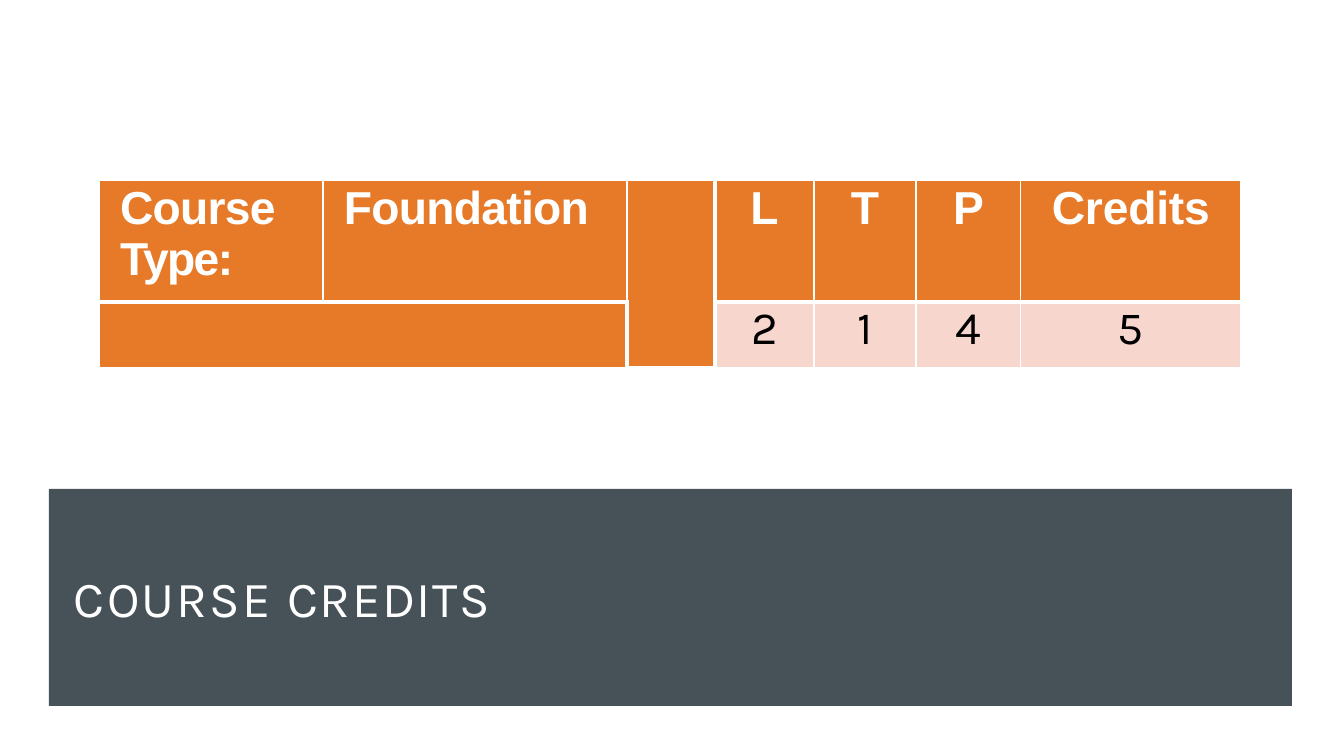
import lxml.etree
import pptx
import pptx.dml.color
import pptx.enum.shapes
import pptx.enum.text
import pptx.oxml.ns
import pptx.util

RGBColor = pptx.dml.color.RGBColor
ORANGE = RGBColor(0xE7, 0x7A, 0x29)
PINK = RGBColor(0xF6, 0xD6, 0xCD)
SLATE = RGBColor(0x46, 0x52, 0x58)
WHITE = RGBColor(0xFF, 0xFF, 0xFF)
BLACK = RGBColor(0x00, 0x00, 0x00)
LEFT = pptx.enum.text.PP_ALIGN.LEFT
CENTER = pptx.enum.text.PP_ALIGN.CENTER

# Content: each paragraph is a list of (text, letter spacing in points)
TITLE = [("COURSE ", 1.6), ("CREDITS", 1.1)]
HEADER = {
    0: [[("Course", -0.5)], [("Type:", -1.2)]],
    1: [[("Foundation", -0.5)]],
    3: [[("L", 0)]],
    4: [[("T", 0)]],
    5: [[("P", 0)]],
    6: [[("Credits", -0.1)]],
}
VALUES = {3: "2", 4: "1", 5: "4", 6: "5"}

# Layout in px
SLIDE_SIZE = (1344, 756)
BAND = (49, 489, 1243, 217)
TABLE_LEFT, TABLE_TOP = 99, 180
COLUMN_WIDTHS = [224, 304, 88, 99, 102, 105, 220]
ROW_HEIGHTS = [122, 66]
GAP_COLUMN = 2
BAND_INDENT = 25
CELL_INDENT = 21
THIN, THICK = 1, 3


def px(length):
    return pptx.util.Emu(round(length * 914400 / 100.8))


def write_text(paragraph, runs, size, font="Arial", color=WHITE, bold=False,
               align=LEFT, line_spacing=None):
    paragraph.alignment = align
    if line_spacing:
        paragraph.line_spacing = pptx.util.Pt(line_spacing)
    for text, spacing in runs:
        run = paragraph.add_run()
        run.text = text
        run.font.size = pptx.util.Pt(size)
        run.font.name = font
        run.font.bold = bold
        run.font.color.rgb = color
        run.font._element.set("spc", str(round(spacing * 100)))


def set_borders(cell, widths):
    properties = cell._tc.get_or_add_tcPr()
    for side, width in widths.items():
        line = lxml.etree.SubElement(properties, pptx.oxml.ns.qn(f"a:ln{side}"),
                                     w=str(pptx.util.Pt(width)))
        fill = lxml.etree.SubElement(line, pptx.oxml.ns.qn("a:solidFill"))
        lxml.etree.SubElement(fill, pptx.oxml.ns.qn("a:srgbClr"), val=str(WHITE))


presentation = pptx.Presentation()
presentation.slide_width, presentation.slide_height = map(px, SLIDE_SIZE)
slide = presentation.slides.add_slide(presentation.slide_layouts[6])

# Title band
band = slide.shapes.add_shape(pptx.enum.shapes.MSO_SHAPE.RECTANGLE, *map(px, BAND))
band.shadow.inherit = False
band.fill.solid()
band.fill.fore_color.rgb = SLATE
band.line.fill.background()
frame = band.text_frame
frame.word_wrap = True
frame.vertical_anchor = pptx.enum.text.MSO_ANCHOR.MIDDLE
frame.margin_left = px(BAND_INDENT)
write_text(frame.paragraphs[0], TITLE, 36, font="Karla")

# Table grid
table = slide.shapes.add_table(
    len(ROW_HEIGHTS), len(COLUMN_WIDTHS), px(TABLE_LEFT), px(TABLE_TOP),
    px(sum(COLUMN_WIDTHS)), px(sum(ROW_HEIGHTS))).table
table.first_row = table.horz_banding = False
for column, width in zip(table.columns, COLUMN_WIDTHS):
    column.width = px(width)
for row, height in zip(table.rows, ROW_HEIGHTS):
    row.height = px(height)
table.cell(0, GAP_COLUMN).merge(table.cell(1, GAP_COLUMN))
table.cell(1, 0).merge(table.cell(1, 1))

# Table cells
for row in range(len(ROW_HEIGHTS)):
    for column in range(len(COLUMN_WIDTHS)):
        cell = table.cell(row, column)
        if cell.is_spanned:
            continue
        credit = column > GAP_COLUMN
        thick_right = column == GAP_COLUMN or (row == 1 and column == 0)
        set_borders(cell, {
            "L": THICK if column == GAP_COLUMN + 1 else THIN,
            "R": THICK if thick_right else THIN,
            "T": THICK if row == 1 else THIN,
            "B": THICK if row == 0 else THIN,
        })
        cell.fill.solid()
        cell.fill.fore_color.rgb = PINK if row == 1 and credit else ORANGE
        cell.margin_top = cell.margin_right = cell.margin_bottom = 0
        cell.margin_left = 0 if credit else px(CELL_INDENT)
        align = CENTER if credit else LEFT
        if row == 0:
            for index, runs in enumerate(HEADER.get(column, [])):
                frame = cell.text_frame
                paragraph = frame.add_paragraph() if index else frame.paragraphs[0]
                # Only the wrapped heading keeps its natural spacing on line two
                write_text(paragraph, runs, 33, bold=True, align=align,
                           line_spacing=None if index else 38.5)
        elif credit:
            write_text(cell.text_frame.paragraphs[0], [(VALUES[column], 0)], 33,
                       font="Karla", color=BLACK, align=align, line_spacing=38.5)

presentation.save("out.pptx")
